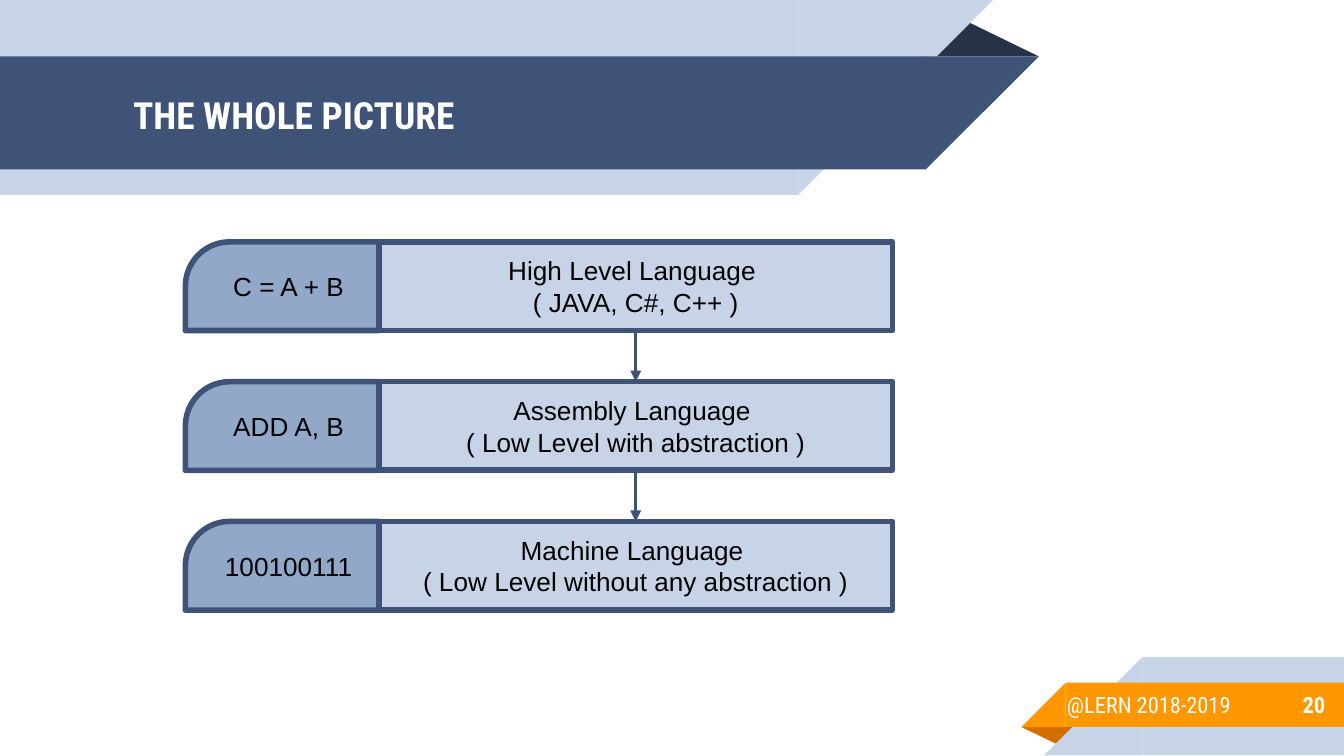
from dataclasses import dataclass

import pptx
import pptx.dml.color
import pptx.enum.shapes
import pptx.enum.text
import pptx.oxml
import pptx.oxml.ns
import pptx.util

Inches = pptx.util.Inches
Kind = pptx.enum.shapes.MSO_SHAPE
Align = pptx.enum.text.PP_ALIGN
Anchor = pptx.enum.text.MSO_ANCHOR

NAVY, PALE, STEEL, ORANGE = "3F5378", "C7D3E6", "92A8C8", "FF9800"
WHITE, BLACK = "FFFFFF", "000000"
HEADING_FONT, BODY_FONT = "Roboto Condensed", "Arial"


@dataclass
class Piece:
    """One part of a ribbon; flip is an xfrm attribute name."""
    kind: Kind
    left: float
    top: float
    width: float
    height: float
    fill: str
    flip: str = ""
    rotation: float = 0


@dataclass
class Level:
    example: str
    label: str


RIBBONS = [
    # Title ribbon
    Piece(Kind.ISOSCELES_TRIANGLE, 6.88, 0.14, 0.85, 0.28, "263248"),
    Piece(Kind.RECTANGLE, 0, 0, 5.94, 1.45, PALE),
    Piece(Kind.RIGHT_TRIANGLE, 5.94, 0, 1.45, 1.45, PALE, "flipV"),
    Piece(Kind.RECTANGLE, 0, 0.42, 6.89, 0.84, NAVY),
    Piece(Kind.RIGHT_TRIANGLE, 6.89, 0.42, 0.84, 0.84, NAVY, "flipV"),
    # Footer ribbon
    Piece(Kind.ISOSCELES_TRIANGLE, 7.6, 5.41, 0.43, 0.14, "D26F00", rotation=180),
    Piece(Kind.RECTANGLE, 8.5, 4.89, 1.5, 0.73, PALE),
    Piece(Kind.RIGHT_TRIANGLE, 7.77, 4.89, 0.73, 0.73, PALE, "flipH"),
    Piece(Kind.RECTANGLE, 7.93, 5.08, 2.08, 0.33, ORANGE),
    Piece(Kind.RIGHT_TRIANGLE, 7.6, 5.08, 0.33, 0.33, ORANGE, "flipH"),
]

LEVELS = [
    Level("C = A + B", "High Level Language \n( JAVA, C#, C++ )"),
    Level("ADD A, B", "Assembly Language \n( Low Level with abstraction )"),
    Level("100100111", "Machine Language \n( Low Level without any abstraction )"),
]
FIRST_TOP, PITCH, ROW_HEIGHT = 1.8, 1.04, 0.66
EXAMPLE_LEFT, EXAMPLE_WIDTH = 1.38, 1.44
LABEL_LEFT, LABEL_WIDTH = EXAMPLE_LEFT + EXAMPLE_WIDTH, 3.82


def color(value: str) -> pptx.dml.color.RGBColor:
    return pptx.dml.color.RGBColor.from_string(value)


def draw_piece(page, piece: Piece):
    shape = page.shapes.add_shape(
        piece.kind, Inches(piece.left), Inches(piece.top),
        Inches(piece.width), Inches(piece.height))
    shape.shadow.inherit = False
    shape.fill.solid()
    shape.fill.fore_color.rgb = color(piece.fill)
    shape.line.fill.background()
    shape.rotation = piece.rotation
    if piece.kind == Kind.ISOSCELES_TRIANGLE:
        shape.adjustments[0] = 0.324
    if piece.flip:
        shape.element.spPr.find(pptx.oxml.ns.qn("a:xfrm")).set(piece.flip, "1")
    return shape


def write(box, text: str, size: float, font: str, ink: str, bold: bool = False,
          align: Align = Align.LEFT, anchor: Anchor = Anchor.MIDDLE) -> None:
    frame = box.text_frame
    frame_format = {"word_wrap": True, "vertical_anchor": anchor,
                    "auto_size": pptx.enum.text.MSO_AUTO_SIZE.NONE}
    for side in ("left", "top", "right", "bottom"):
        frame_format[f"margin_{side}"] = Inches(0.1)
    for name, value in frame_format.items():
        setattr(frame, name, value)
    para = frame.paragraphs[0]
    para.text = text
    para.alignment = align
    for span in para.runs:
        for name, value in {"size": pptx.util.Pt(size), "name": font, "bold": bold}.items():
            setattr(span.font, name, value)
        span.font.color.rgb = color(ink)


def draw_block(page, piece: Piece, text: str):
    box = draw_piece(page, piece)
    box.line.color.rgb = color(NAVY)
    box.line.width = pptx.util.Pt(3)
    write(box, text, 14, BODY_FONT, BLACK, align=Align.CENTER)
    return box


def draw_level(page, level: Level, top: float):
    label = draw_block(page, Piece(Kind.RECTANGLE, LABEL_LEFT, top, LABEL_WIDTH,
                                   ROW_HEIGHT, PALE), level.label)
    example = draw_block(page, Piece(Kind.ROUND_1_RECTANGLE, EXAMPLE_LEFT, top, EXAMPLE_WIDTH,
                                     ROW_HEIGHT, STEEL, "flipH"), level.example)
    example.adjustments[0] = 0.5
    return label


def draw_arrow(page, upper, lower) -> None:
    arrow = page.shapes.add_connector(pptx.enum.shapes.MSO_CONNECTOR.STRAIGHT, 0, 0, 0, 0)
    arrow.begin_connect(upper, 2)
    arrow.end_connect(lower, 0)
    arrow.line.color.rgb = color(NAVY)
    arrow.line.width = pptx.util.Pt(1.5)
    head = pptx.oxml.parse_xml(f'<a:tailEnd {pptx.oxml.ns.nsdecls("a")} type="triangle"/>')
    arrow.line._get_or_add_ln().append(head)
    arrow.element.spPr.append(
        pptx.oxml.parse_xml(f'<a:effectLst {pptx.oxml.ns.nsdecls("a")}/>'))


def place(box, left: float, top: float, width: float, height: float) -> None:
    for name, value in {"left": left, "top": top, "width": width, "height": height}.items():
        setattr(box, name, Inches(value))


def main() -> None:
    # Widescreen deck, 16 to 9
    deck = pptx.Presentation()
    deck.slide_width, deck.slide_height = Inches(10), Inches(10 * 9 / 16)
    page = deck.slides.add_slide(deck.slide_layouts.get_by_name("Title Only"))

    # Ribbons behind the title and the footer
    for piece in RIBBONS:
        draw_piece(page, piece)

    # Title, brought in front of its ribbon
    title = page.shapes.title
    title.element.getparent().append(title.element)
    place(title, 0.89, 0.43, 5.75, 0.84)
    write(title, "THE WHOLE PICTURE", 20, HEADING_FONT, WHITE, bold=True)

    # Page number and footer
    number = page.shapes.add_textbox(Inches(8.33), Inches(5.07), Inches(1.63), Inches(0.35))
    write(number, "20", 12, HEADING_FONT, WHITE, bold=True, align=Align.RIGHT)
    footer = page.shapes.add_textbox(Inches(7.84), Inches(5.04), Inches(1.79), Inches(0.55))
    write(footer, "@LERN 2018-2019", 12, HEADING_FONT, WHITE, anchor=Anchor.TOP)

    # Language levels, joined from top to bottom
    labels = [draw_level(page, level, FIRST_TOP + row * PITCH)
              for row, level in enumerate(LEVELS)]
    for upper, lower in zip(labels, labels[1:]):
        draw_arrow(page, upper, lower)

    deck.save("out.pptx")


if __name__ == "__main__":
    main()
